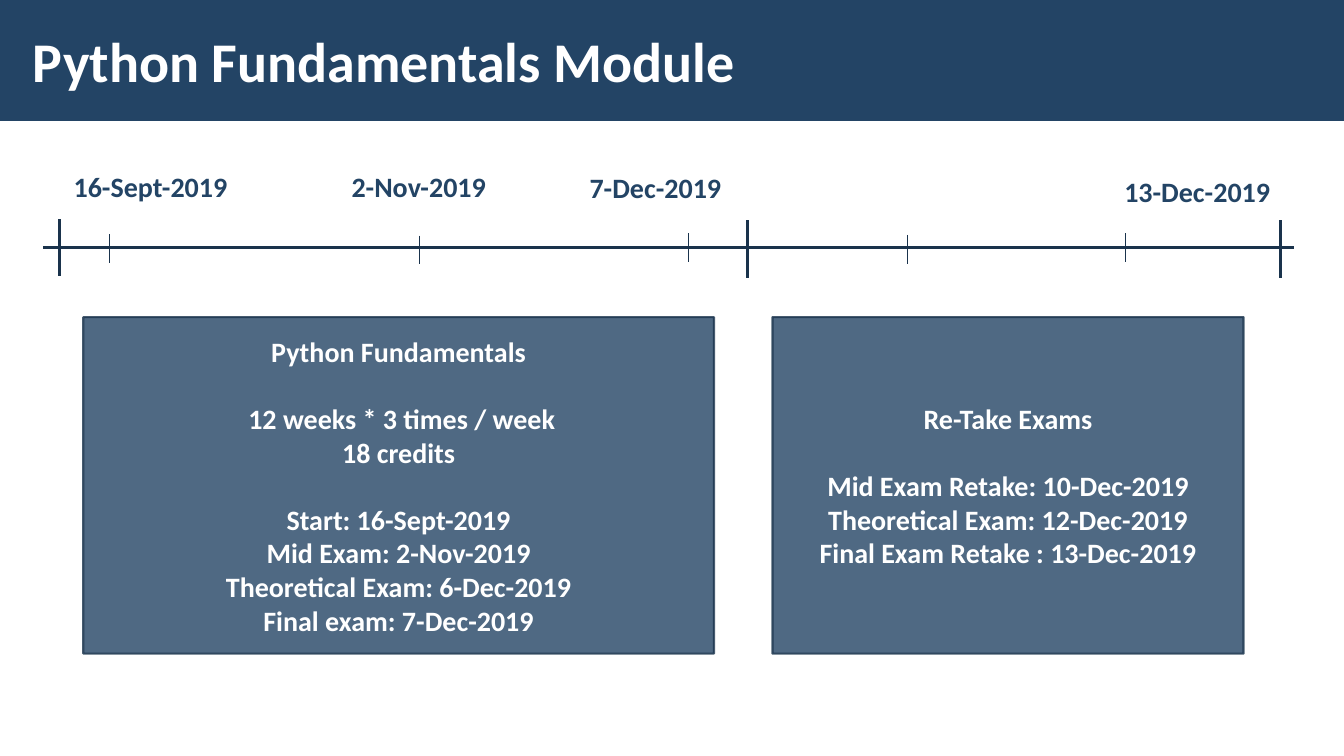
from pptx import Presentation
from pptx.dml.color import RGBColor
from pptx.enum.shapes import MSO_CONNECTOR, MSO_SHAPE
from pptx.enum.text import MSO_ANCHOR, MSO_AUTO_SIZE, PP_ALIGN
from pptx.oxml.ns import qn
from pptx.util import Pt
from lxml.etree import SubElement

NAVY = RGBColor(0x23, 0x44, 0x65)
DARK = RGBColor(0x1A, 0x33, 0x4C)
WHITE = RGBColor(0xFF, 0xFF, 0xFF)

deck = Presentation()
deck.slide_width, deck.slide_height = Pt(960), Pt(540)
slide = deck.slides.add_slide(deck.slide_layouts[5])
shapes = slide.shapes


def style(font, size, color):
    look = {"name": "Calibri", "size": Pt(size), "bold": True}
    for key, value in look.items():
        setattr(font, key, value)
    font.color.rgb = color


def draw(x1, y1, x2, y2, width):
    line = shapes.add_connector(
        MSO_CONNECTOR.STRAIGHT, Pt(x1), Pt(y1), Pt(x2), Pt(y2))
    line.line.color.rgb = DARK
    line.line.width = Pt(width)
    SubElement(line._element.spPr, qn("a:effectLst"))


# Title on its band
title = shapes.title
band = shapes.add_shape(MSO_SHAPE.RECTANGLE, 0, 0, Pt(960), Pt(86.4))
band.shadow.inherit = False
band.fill.solid()
band.fill.fore_color.rgb = NAVY
band.line.fill.background()
title._element.addprevious(band._element)

place = {"left": 15, "top": 8, "width": 748, "height": 70}
for key, value in place.items():
    setattr(title, key, Pt(value))
frame = title.text_frame
frame.text = "Python Fundamentals Module"
setup = {"auto_size": MSO_AUTO_SIZE.NONE, "vertical_anchor": MSO_ANCHOR.MIDDLE,
         "margin_left": Pt(8.5), "margin_right": Pt(8.5),
         "margin_top": Pt(3), "margin_bottom": Pt(3)}
for key, value in setup.items():
    setattr(frame, key, value)
frame.paragraphs[0].alignment = PP_ALIGN.LEFT
style(frame.paragraphs[0].font, 40, WHITE)

# Timeline axis with long and short ticks
draw(31, 177, 924, 177, 2.25)
for x, mid in [(42.5, 177), (534, 178), (914.5, 178)]:
    draw(x, mid - 20.5, x, mid + 20.5, 2.25)
for x, mid in [(78, 177.5), (299.5, 178.5), (492, 177),
               (648, 178), (803.5, 177)]:
    draw(x, mid - 10.25, x, mid + 10.25, 0.5)

# Dates above the axis
dates = [("16-Sept-2019", 45.5, 117.5, 126), ("2-Nov-2019", 244, 117.5, 111.5),
         ("7-Dec-2019", 414, 118, 109.5), ("13-Dec-2019", 796, 121, 119.5)]
for text, x, y, width in dates:
    label = shapes.add_textbox(Pt(x), Pt(y), Pt(width), Pt(31.5))
    frame = label.text_frame
    frame.text = text
    frame.word_wrap = False
    frame.auto_size = MSO_AUTO_SIZE.SHAPE_TO_FIT_TEXT
    style(frame.paragraphs[0].font, 20, NAVY)

# Module panels: each holds groups of lines, one line height apart
panels = [
    (59.5, 450.5, [
        ["Python Fundamentals"],
        [" 12 weeks * 3 times / week", "18 credits"],
        ["Start: 16-Sept-2019", "Mid Exam: 2-Nov-2019",
         "Theoretical Exam: 6-Dec-2019", "Final exam: 7-Dec-2019"]]),
    (551.75, 336.5, [
        ["Re-Take Exams"],
        ["Mid Exam Retake: 10-Dec-2019", "Тheoretical Exam: 12-Dec-2019",
         "Final Exam Retake : 13-Dec-2019"]]),
]
for x, width, groups in panels:
    panel = shapes.add_shape(
        MSO_SHAPE.RECTANGLE, Pt(x), Pt(226.5), Pt(width), Pt(240.5))
    panel.shadow.inherit = False
    panel.line.width = Pt(1.5)
    for fill, color in [(panel.fill, NAVY), (panel.line.fill, DARK)]:
        fill.solid()
        fill.fore_color.rgb = color
    for tint in panel._element.spPr.iter(qn("a:srgbClr")):
        SubElement(tint, qn("a:alpha"), val="80000")
    frame = panel.text_frame
    frame.word_wrap = True
    frame.vertical_anchor = MSO_ANCHOR.MIDDLE
    frame.text = "\n".join(text for group in groups for text in group)
    heads = [group[0] for group in groups[1:]]
    for para in frame.paragraphs:
        para.alignment = PP_ALIGN.CENTER
        if para.text in heads:
            para.space_before = Pt(24)
        style(para.font, 20, WHITE)

deck.save("out.pptx")
